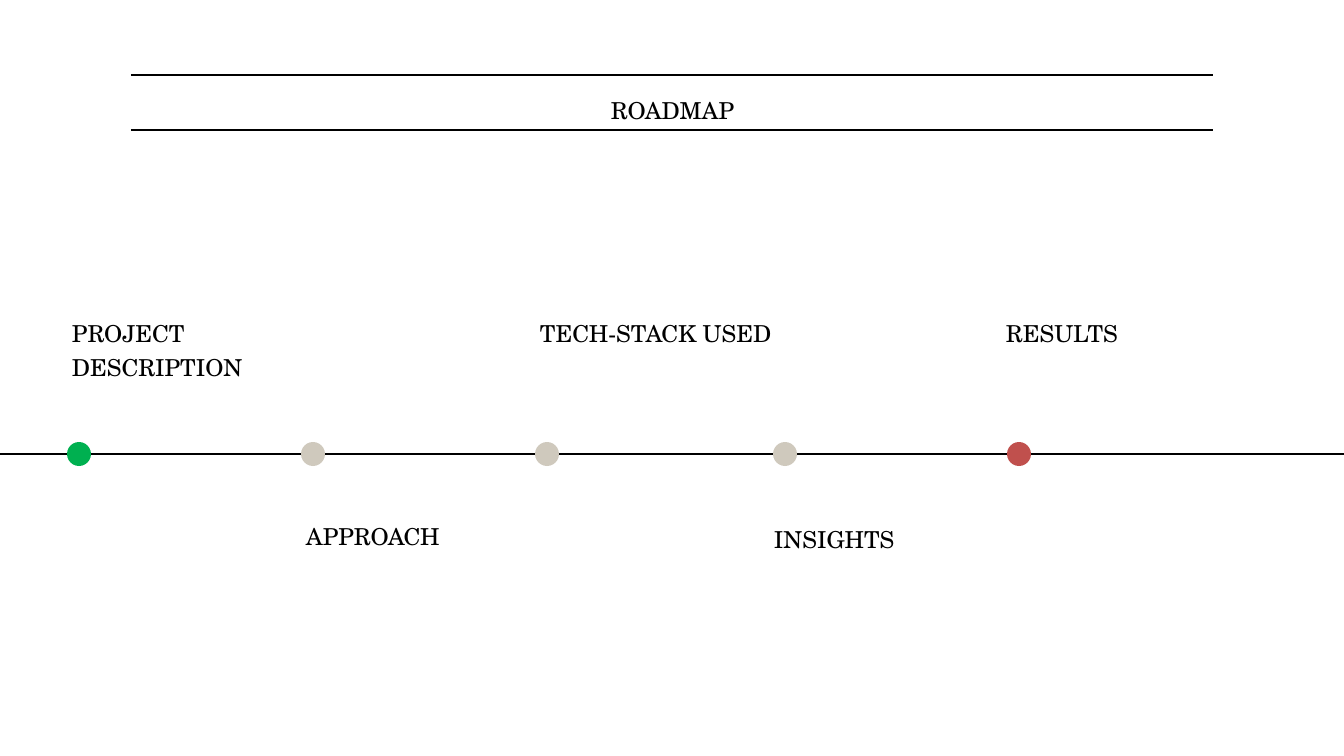
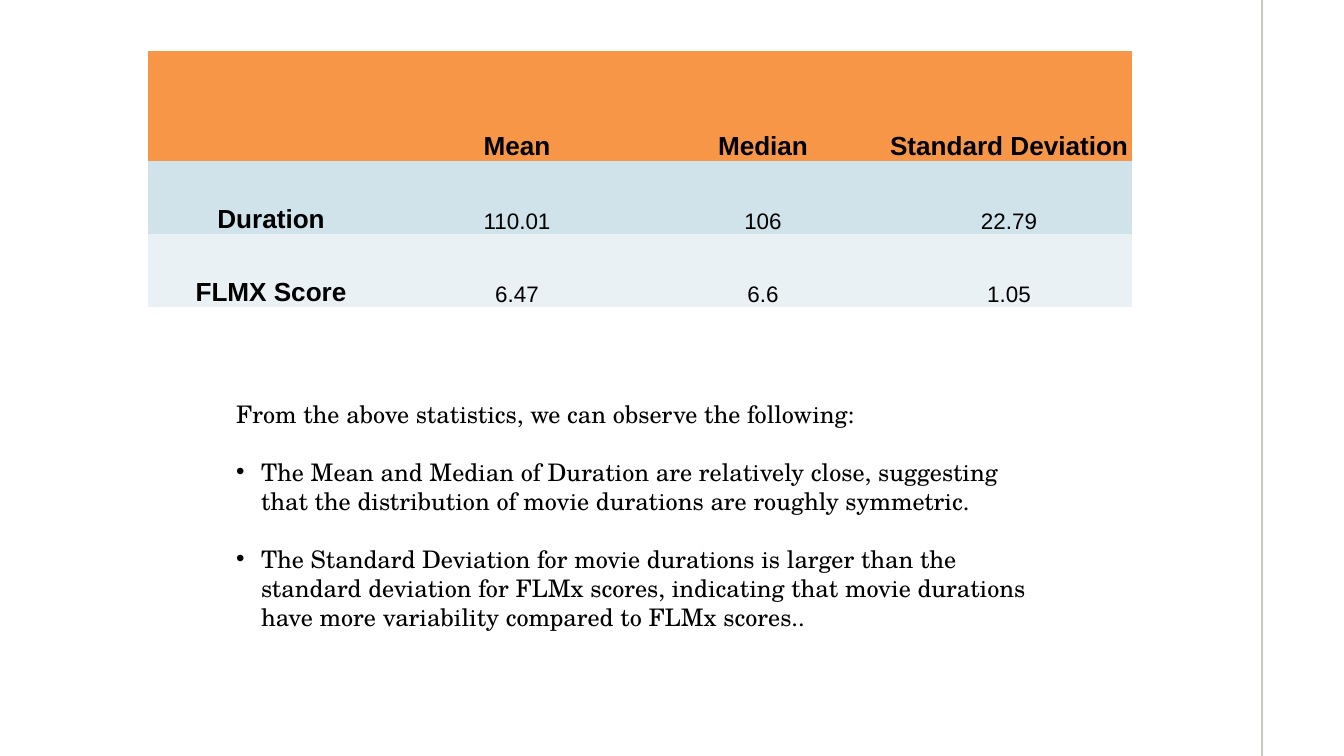
import pptx
import pptx.dml.color
import pptx.enum.shapes
import pptx.enum.text
import pptx.oxml
import pptx.oxml.ns
import pptx.util

RGBColor = pptx.dml.color.RGBColor
PP_ALIGN = pptx.enum.text.PP_ALIGN
MSO_ANCHOR = pptx.enum.text.MSO_ANCHOR
MSO_AUTO_SIZE = pptx.enum.text.MSO_AUTO_SIZE
qn = pptx.oxml.ns.qn

BLACK = RGBColor(0x00, 0x00, 0x00)
GREEN = RGBColor(0x00, 0xB0, 0x50)
STONE = RGBColor(0xCF, 0xC9, 0xBD)
RED = RGBColor(0xC0, 0x50, 0x4D)
ORANGE = RGBColor(0xF7, 0x96, 0x46)
BLUE = RGBColor(0xD0, 0xE3, 0xEA)
PALE_BLUE = RGBColor(0xE9, 0xF1, 0xF5)

SERIF = "TeX Gyre Schola"
SANS = "Arial"
NO_GRID_STYLE = "{2D5ABB26-0587-4C30-8999-92F81FD0307C}"

SLIDE_WIDTH, SLIDE_HEIGHT = 1344, 756
PX = pptx.util.Inches(20) / SLIDE_WIDTH


def px(*lengths):
    """Turn pixel lengths into a list of EMU lengths."""
    return [pptx.util.Emu(round(length * PX)) for length in lengths]


def write(frame, *texts, size=25, font=SERIF, bold=False, align=PP_ALIGN.LEFT,
          anchor=MSO_ANCHOR.TOP, margins=(0, 0, 0, 0), line_spacing=1.2,
          gap=0, bullet_indent=0):
    """Fill a text frame or cell; margins run left, top, right, bottom.

    With a bullet_indent, every paragraph after the first is bulleted.
    """
    frame.margin_left, frame.margin_top, frame.margin_right, frame.margin_bottom = px(*margins)
    frame.vertical_anchor = anchor
    text_frame = getattr(frame, "text_frame", frame)
    text_frame.word_wrap = True
    for index, text in enumerate(texts):
        paragraph = text_frame.add_paragraph() if index else text_frame.paragraphs[0]
        paragraph.text = text
        paragraph.alignment = align
        paragraph.line_spacing = line_spacing
        paragraph.space_before = pptx.util.Pt(gap if index else 0)
        paragraph.space_after = pptx.util.Pt(0)
        properties = paragraph._p.get_or_add_pPr()
        indent = px(bullet_indent)[0] if index else 0
        properties.set("marL", str(indent))
        properties.set("indent", str(-indent))
        if indent:
            bullet_font = properties.makeelement(qn("a:buFont"), {"typeface": SANS})
            bullet = properties.makeelement(qn("a:buChar"), {"char": "•"})
            properties.extend([bullet_font, bullet])
        else:
            properties.append(properties.makeelement(qn("a:buNone"), {}))
        paragraph.font.size = pptx.util.Pt(size)
        paragraph.font.name = font
        paragraph.font.bold = bold
        paragraph.font.color.rgb = BLACK
        for run in paragraph.runs:
            run.font.size = pptx.util.Pt(size)
            run.font.name = font
            run.font.bold = bold
            run.font.color.rgb = BLACK


presentation = pptx.Presentation()
presentation.slide_width, presentation.slide_height = px(SLIDE_WIDTH, SLIDE_HEIGHT)
roadmap = presentation.slides.add_slide(presentation.slide_layouts[5])
statistics = presentation.slides.add_slide(presentation.slide_layouts[1])

# Rules around the title, the timeline and the right-hand edge
for slide, color, ends in [
    (roadmap, BLACK, (131, 75, 1213, 75)),
    (roadmap, BLACK, (131, 130, 1213, 130)),
    (roadmap, BLACK, (0, 454, SLIDE_WIDTH, 454)),
    (statistics, STONE, (1262, SLIDE_HEIGHT, 1262, 0)),
]:
    rule = slide.shapes.add_connector(
        pptx.enum.shapes.MSO_CONNECTOR.STRAIGHT, *px(*ends))
    rule.line.color.rgb = color
    rule.line.width = pptx.util.Pt(2.25)
    shape_properties = rule._element.spPr
    shape_properties.append(shape_properties.makeelement(qn("a:effectLst"), {}))

# Slide 1: roadmap
title = roadmap.shapes.title
title.left, title.top, title.width, title.height = px(378, 91, 589, 34)
title.text_frame.auto_size = MSO_AUTO_SIZE.NONE
write(title.text_frame, "ROADMAP", align=PP_ALIGN.CENTER)

for text, color, dot_left, label_left, label_top, label_height in [
    ("PROJECT DESCRIPTION", GREEN, 67, 72, 314, 68),
    ("APPROACH", STONE, 301, 306, 517, 34),
    ("TECH-STACK USED", STONE, 535, 540, 314, 34),
    ("INSIGHTS", STONE, 773, 774, 520, 34),
    ("RESULTS", RED, 1007, 1006, 314, 34),
]:
    dot = roadmap.shapes.add_shape(
        pptx.enum.shapes.MSO_SHAPE.OVAL, *px(dot_left, 442, 24, 24))
    dot.shadow.inherit = False
    dot.fill.solid()
    dot.fill.fore_color.rgb = color
    dot.line.fill.background()
    label = roadmap.shapes.add_textbox(*px(label_left, label_top, 247, label_height))
    write(label.text_frame, text)

# Slide 2: statistics
unused_title = statistics.shapes.title._element
unused_title.getparent().remove(unused_title)

rows = [
    (ORANGE, 110, ["", "Mean", "Median", "Standard Deviation"]),
    (BLUE, 73, ["Duration", "110.01", "106", "22.79"]),
    (PALE_BLUE, 73, ["FLMX Score", "6.47", "6.6", "1.05"]),
]
table_frame = statistics.shapes.add_table(3, 4, *px(148, 51, 984, 256))
table = table_frame.table
table.horz_banding = False
table._tbl.tblPr.find(qn("a:tableStyleId")).text = NO_GRID_STYLE
for column in table.columns:
    column.width = px(246)[0]
for row_index, (color, height, texts) in enumerate(rows):
    table.rows[row_index].height = px(height)[0]
    for column_index, text in enumerate(texts):
        cell = table.cell(row_index, column_index)
        cell.fill.solid()
        cell.fill.fore_color.rgb = color
        heading = row_index == 0 or column_index == 0
        write(cell, text, size=28 if heading else 24, font=SANS, bold=heading,
              align=PP_ALIGN.CENTER, anchor=MSO_ANCHOR.BOTTOM,
              margins=(1, 1, 1, 0), line_spacing=1.0)

body = statistics.placeholders[1]
body.left, body.top, body.width, body.height = px(229, 371, 821, 287)
body.text_frame.auto_size = MSO_AUTO_SIZE.NONE
write(
    body.text_frame,
    "From the above statistics, we can observe the following:",
    "The Mean and Median of Duration are relatively close, suggesting that the "
    "distribution of movie durations are roughly symmetric.",
    "The Standard Deviation for movie durations is larger than the standard "
    "deviation for FLMx scores, indicating that movie durations have more "
    "variability compared to FLMx scores..",
    size=25.9, margins=(7, 28, 7, 3), line_spacing=1.0, gap=31, bullet_indent=25)

presentation.save("out.pptx")
